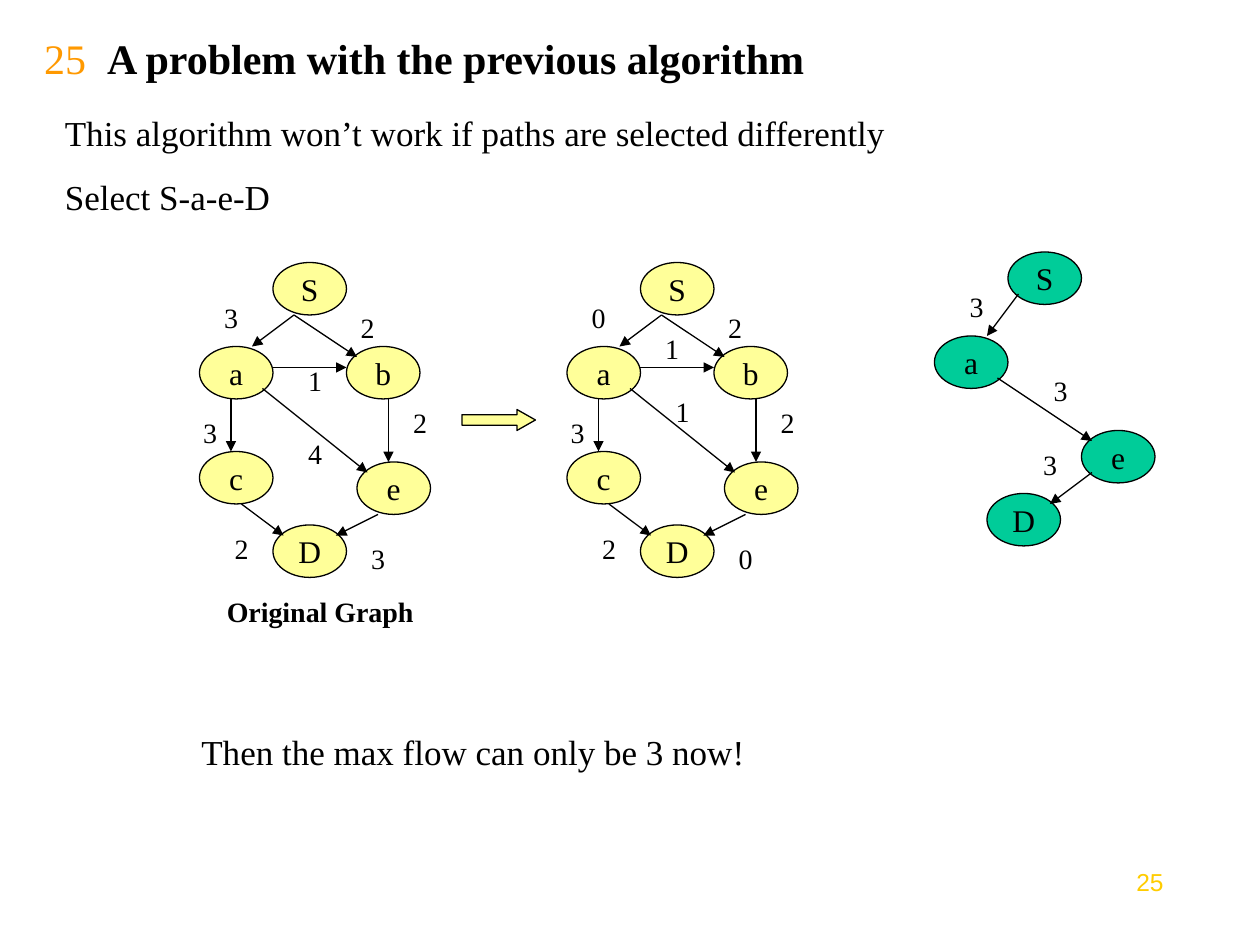
"""Build a slide showing how a poor choice of paths limits the maximum flow."""
from lxml.etree import SubElement
from pptx import Presentation
from pptx.dml.color import RGBColor
from pptx.enum.shapes import MSO_CONNECTOR as Connector, MSO_SHAPE as Shape
from pptx.enum.text import MSO_ANCHOR as Anchor, MSO_AUTO_SIZE as AutoSize, PP_ALIGN as Align
from pptx.oxml.ns import qn
from pptx.util import Pt

BLACK = RGBColor(0x00, 0x00, 0x00)
ORANGE = RGBColor(0xFF, 0x99, 0x00)
GOLD = RGBColor(0xFF, 0xCC, 0x00)
YELLOW = RGBColor(0xFF, 0xFF, 0x99)
GREEN = RGBColor(0x00, 0xCC, 0x99)

FLOW_NODES = {"S": (156, 150), "a": (114, 198), "b": (198, 198),
              "c": (114, 258), "e": (204, 264), "D": (156, 300)}
FLOW_EDGES = [(168, 180, 144, 198), (168, 180, 204, 204), (132, 228, 132, 258),
              (138, 288, 162, 306), (216, 294, 192, 306), (222, 228, 222, 264),
              (150, 222, 210, 270), (156, 210, 198, 210)]
ORIGINAL_WEIGHTS = [("3", 120, 168), ("2", 198, 174), ("3", 108, 234), ("4", 168, 246),
                    ("2", 228, 228), ("1", 168, 204), ("2", 126, 300), ("3", 204, 306)]
RESIDUAL_WEIGHTS = [("0", 120, 168), ("2", 198, 174), ("3", 108, 234), ("2", 228, 228),
                    ("1", 168, 222), ("2", 126, 300), ("0", 204, 306), ("1", 162, 186)]
RESIDUAL_SHIFT = 210
PATH_NODES = {"S": (576, 144), "a": (534, 192), "e": (618, 246), "D": (564, 282)}
PATH_EDGES = [(582, 168, 564, 192), (570, 216, 624, 252), (624, 270, 600, 288)]
PATH_WEIGHTS = [("3", 546, 162), ("3", 594, 210), ("3", 588, 252)]


def assign(target, values):
    for attribute, value in values.items():
        setattr(target, attribute, value)


class FlowSlide:
    def __init__(self, slide):
        self.slide = slide
        self.canvas = slide.shapes
        self.line_width = Pt(0.75)
        self.node_size = Pt(42), Pt(30)

    def wording(self, paragraph, text, size, color=BLACK, font="Times New Roman", bold=False):
        run = paragraph.add_run()
        run.text = text
        assign(run.font, {"name": font, "size": Pt(size), "bold": bold})
        run.font.color.rgb = color

    def title(self, number, text):
        heading = self.slide.shapes.title
        assign(heading, {"left": Pt(18), "top": Pt(18), "width": Pt(612), "height": Pt(30)})
        assign(heading.text_frame, {"vertical_anchor": Anchor.MIDDLE, "word_wrap": True,
                                    "auto_size": AutoSize.NONE})
        paragraph = heading.text_frame.paragraphs[0]
        paragraph.alignment = Align.LEFT
        self.wording(paragraph, number + "  ", 24, ORANGE)
        self.wording(paragraph, text, 24, bold=True)

    def text(self, lines, left, top, width, height, size=20, align=Align.LEFT, before=12.5, **style):
        frame = self.canvas.add_textbox(Pt(left), Pt(top), Pt(width), Pt(height)).text_frame
        assign(frame, {"word_wrap": True, "auto_size": AutoSize.SHAPE_TO_FIT_TEXT})
        for index, line in enumerate(lines):
            paragraph = frame.add_paragraph() if index else frame.paragraphs[0]
            assign(paragraph, {"alignment": align, "space_before": Pt(before)})
            self.wording(paragraph, line, size, **style)

    def label(self, text, left, top, width=24, bold=False):
        self.text([text], left, top, width, 26.5, 16, Align.CENTER, 10, bold=bold)

    def outlined(self, kind, left, top, width, height, fill):
        outline = self.canvas.add_shape(kind, Pt(left), Pt(top), width, height)
        outline.shadow.inherit = False
        outline.fill.solid()
        outline.fill.fore_color.rgb = fill
        outline.line.color.rgb = BLACK
        outline.line.width = self.line_width
        return outline

    def node(self, name, left, top, fill):
        frame = self.outlined(Shape.OVAL, left, top, *self.node_size, fill).text_frame
        assign(frame, {"word_wrap": False, "vertical_anchor": Anchor.MIDDLE})
        frame.paragraphs[0].alignment = Align.CENTER
        self.wording(frame.paragraphs[0], name, 18)

    def block_arrow(self, left, top, width, height):
        arrow = self.outlined(Shape.RIGHT_ARROW, left, top, Pt(width), Pt(height), YELLOW)
        arrow.adjustments[1] = 0.88

    def edge(self, *ends):
        edge = self.canvas.add_connector(Connector.STRAIGHT, *map(Pt, ends))
        edge.line.color.rgb = BLACK
        edge.line.width = self.line_width
        properties = edge._element.spPr
        SubElement(properties.find(qn("a:ln")), qn("a:tailEnd"), type="triangle")
        SubElement(properties, qn("a:effectLst"))

    def graph(self, nodes, edges, weights, fill, shift=0):
        for name, (left, top) in nodes.items():
            self.node(name, left + shift, top, fill)
        for weight, left, top in weights:
            self.label(weight, left + shift, top)
        for x1, y1, x2, y2 in edges:
            self.edge(x1 + shift, y1, x2 + shift, y2)

    def begin_group(self):
        self.canvas = self.slide.shapes.add_group_shape().shapes

    def end_group(self):
        self.canvas = self.slide.shapes


def main():
    deck = Presentation()
    assign(deck, {"slide_width": Pt(720), "slide_height": Pt(540)})
    page = FlowSlide(deck.slides.add_slide(deck.slide_layouts[5]))
    page.title("25", "A problem with the previous algorithm")
    page.text(["25"], 624, 492, 48, 37.5, 14, Align.RIGHT, 0, color=GOLD, font="Arial")
    page.text(["This algorithm won’t work if paths are selected differently",
               "Select S-a-e-D"], 30, 60, 552, 67.5)

    page.begin_group()
    page.graph(FLOW_NODES, FLOW_EDGES, ORIGINAL_WEIGHTS, YELLOW)
    page.label("Original Graph", 102, 336, 162, bold=True)
    page.end_group()

    page.text(["Then the max flow can only be 3 now!"], 108, 414, 426, 31.5)
    page.graph(PATH_NODES, PATH_EDGES, PATH_WEIGHTS, GREEN)
    page.block_arrow(264, 234, 42, 12)

    page.begin_group()
    page.graph(FLOW_NODES, FLOW_EDGES, RESIDUAL_WEIGHTS, YELLOW, RESIDUAL_SHIFT)
    page.end_group()
    deck.save("out.pptx")


if __name__ == "__main__":
    main()
